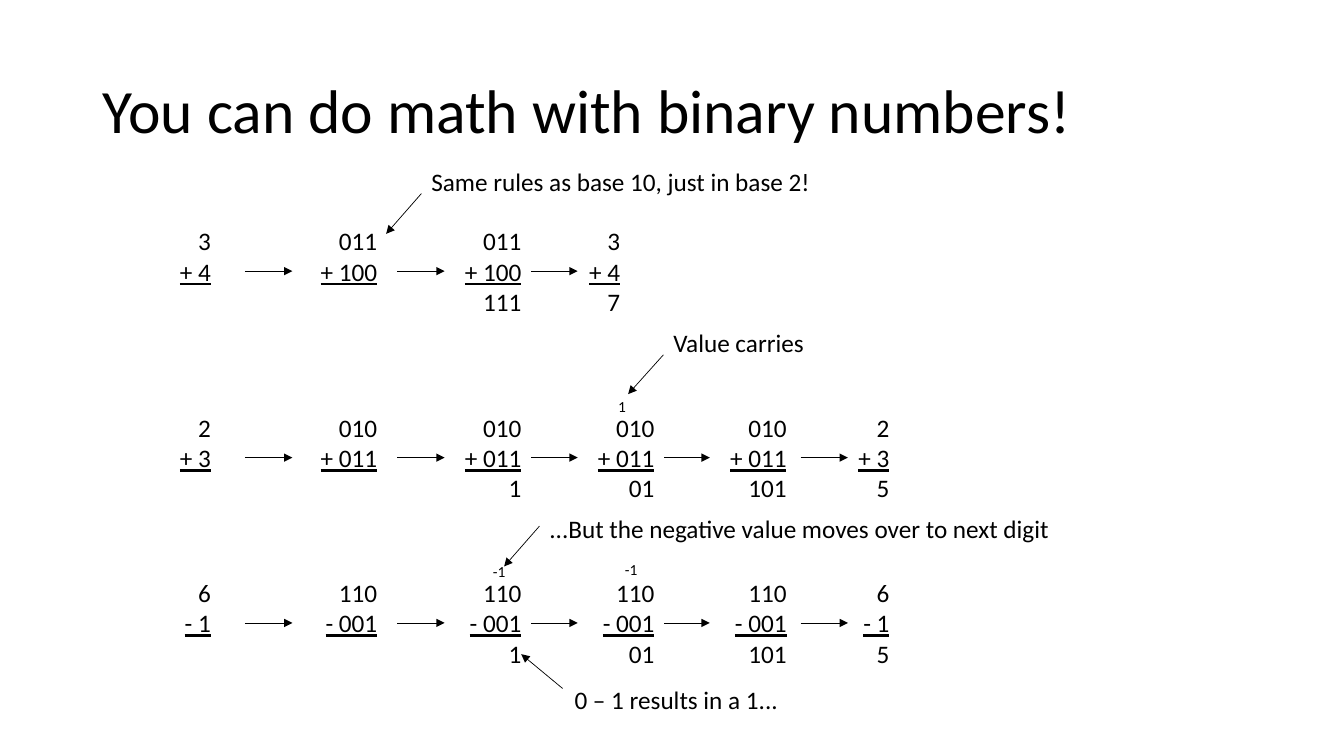
from lxml.etree import SubElement
from pptx import Presentation
from pptx.dml.color import RGBColor
from pptx.enum.shapes import MSO_CONNECTOR
from pptx.enum.text import MSO_ANCHOR, MSO_AUTO_SIZE, PP_ALIGN
from pptx.oxml.ns import qn
from pptx.util import Emu, Pt

SLOTS = [(154, 65), (274, 110), (417, 110), (549, 110), (680, 110), (827, 65)]
ARROWS = [243, 394, 526, 657, 794]
TALL = 100

SUMS = [
    (219, SLOTS[:3] + [(560, 65)],
     [("3", "+ 4"), ("011", "+ 100"), ("011", "+ 100", "111"),
      ("3", "+ 4", "7")]),
    (404, SLOTS,
     [("2", "+ 3"), ("010", "+ 011"), ("010", "+ 011", "1"),
      ("010", "+ 011", "01"), ("010", "+ 011", "101"), ("2", "+ 3", "5")]),
    (568, SLOTS,
     [("6", "- 1"), ("110", "- 001"), ("110", "- 001", "1"),
      ("110", "- 001", "01"), ("110", "- 001", "101"), ("6", "- 1", "5")]),
]
NOTES = [
    ("Same rules as base 10, just in base 2!", 418, 160, 409),
    ("Value carries", 658, 320, 409),
    ("...But the negative value moves over to next digit", 535, 504, 532),
    ("0 – 1 results in a 1...", 560, 674, 428),
]
CARRIES = [("1", 606, 389, 17), ("-1", 479, 553, 35), ("-1", 610, 551, 35)]
POINTERS = [
    (418, 192, 383, 232),
    (658, 352, 623, 391),
    (535, 522, 500, 562),
    (558, 683, 517, 649),
]


def px(n):
    return Emu(n * 9144)


def color(code):
    return RGBColor.from_string(code)


class Deck:
    """Holds the style and the current slide, and draws each kind of element."""

    ink = "000000"
    face = "Calibri"

    def __init__(self):
        self.prs = Presentation()
        self.prs.slide_width = px(1333)
        self.prs.slide_height = px(750)
        self.slide = self.prs.slides.add_slide(self.prs.slide_layouts[5])

    def style(self, font, size, **more):
        for key, val in {"name": self.face, "size": Pt(size), **more}.items():
            setattr(font, key, val)
        font.color.rgb = color(self.ink)

    def title(self, text, x, y, w, h):
        box = self.slide.shapes.title
        for key, val in {"left": x, "top": y, "width": w, "height": h}.items():
            setattr(box, key, px(val))
        frame = box.text_frame
        frame.text = text
        frame.vertical_anchor = MSO_ANCHOR.MIDDLE
        para = frame.paragraphs[0]
        para.alignment = PP_ALIGN.LEFT
        para.line_spacing = 0.9
        self.style(para.runs[0].font, 44)

    def text(self, lines, x, y, w, h, size=18, align=PP_ALIGN.LEFT):
        box = self.slide.shapes.add_textbox(px(x), px(y), px(w), px(h))
        frame = box.text_frame
        frame.text = "\n".join(lines)
        frame.word_wrap = True
        frame.auto_size = MSO_AUTO_SIZE.SHAPE_TO_FIT_TEXT
        for row, para in enumerate(frame.paragraphs):
            para.alignment = align
            self.style(para.runs[0].font, size, underline=row == 1)
        return box

    def arrow(self, x1, y1, x2, y2):
        line = self.slide.shapes.add_connector(
            MSO_CONNECTOR.STRAIGHT, px(x1), px(y1), px(x2), px(y2))
        line.line.width = Pt(0.5)
        line.line.color.rgb = color(self.ink)
        props = line._element.spPr
        SubElement(props.find(qn("a:ln")), qn("a:tailEnd"), type="triangle")
        SubElement(props, qn("a:effectLst"))
        return line

    def sums(self, top, slots, steps):
        boxes = [self.text(step, x, top, w, TALL, align=PP_ALIGN.RIGHT)
                 for step, (x, w) in zip(steps, slots)]
        mid = top + TALL // 2
        for box, (left, w), x in zip(boxes[:-1], slots, ARROWS):
            line = self.arrow(x, mid, x + 47, mid)
            if abs(left + w - x) <= 2:
                line.begin_connect(box, 3)


def main():
    deck = Deck()
    deck.title("You can do math with binary numbers!", 92, 40, 1150, 145)
    for top, slots, steps in SUMS:
        deck.sums(top, slots, steps)
    for text, x, y, w in NOTES:
        deck.text([text], x, y, w, 40)
    for text, x, y, w in CARRIES:
        deck.text([text], x, y, w, 29, size=11)
    for ends in POINTERS:
        deck.arrow(*ends)
    deck.prs.save("out.pptx")


if __name__ == "__main__":
    main()
